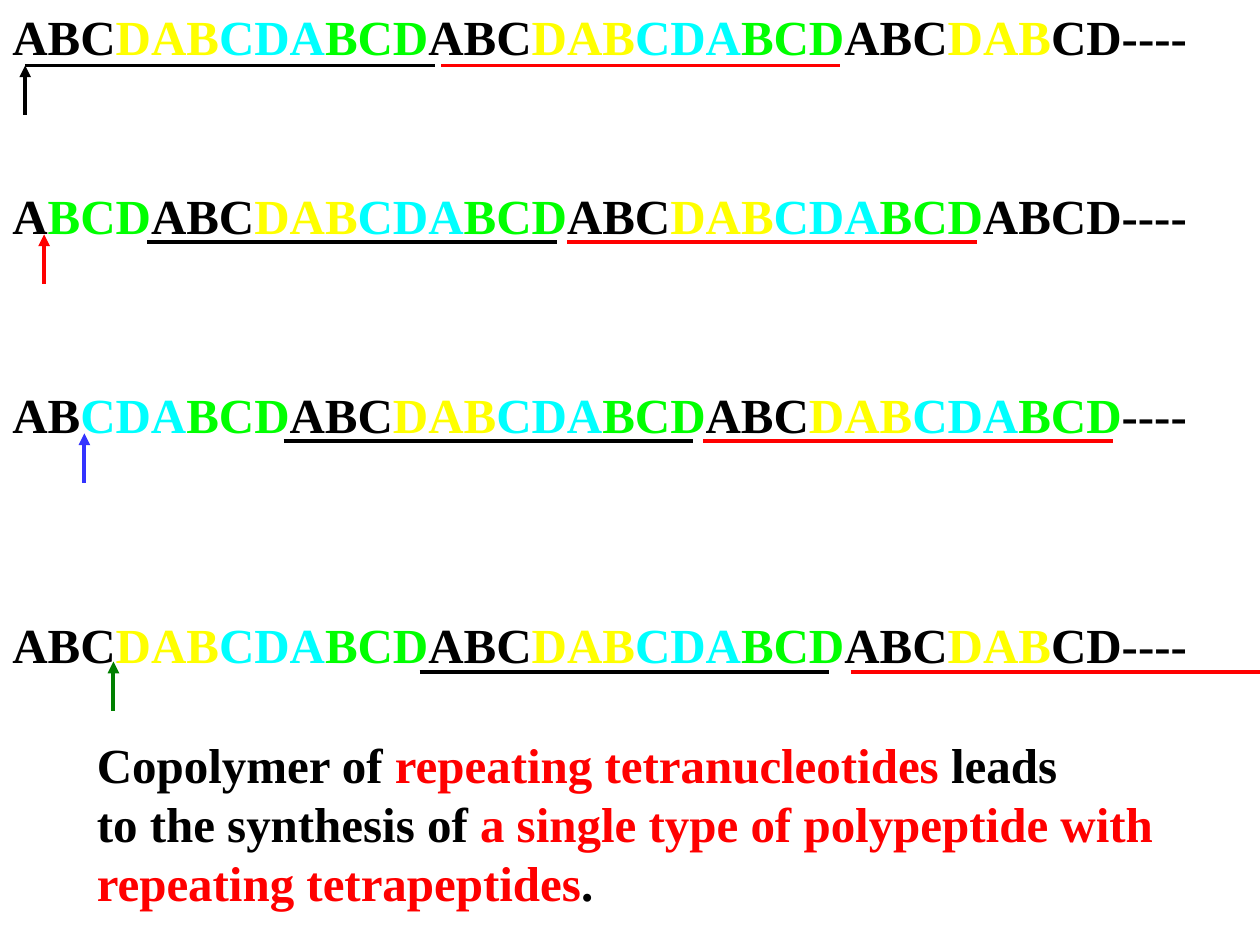
import pptx
import pptx.dml.color
import pptx.enum.shapes
import pptx.enum.text
import pptx.oxml
import pptx.oxml.ns
import pptx.util
from collections import namedtuple

RGBColor = pptx.dml.color.RGBColor
BLACK = RGBColor(0, 0, 0)
RED = RGBColor(255, 0, 0)
BLUE = RGBColor(0x33, 0x33, 0xFF)
DARK_GREEN = RGBColor(0, 0x80, 0)
CODON_COLORS = {
    "ABC": BLACK,
    "DAB": RGBColor(255, 255, 0),
    "CDA": RGBColor(0, 255, 255),
    "BCD": RGBColor(0, 255, 0),
}
SEQUENCE = "ABCD" * 8
WIDTH = pptx.util.Inches(10)
HEIGHT = pptx.util.Inches(7.5)
ROW_WIDTH, ROW_HEIGHT = 9.54, 0.57
ARROW_LENGTH = 0.39

Box = namedtuple("Box", "left top width height")
Frame = namedtuple("Frame", "top codons rule_drop rules arrow_x arrow_drop arrow_color")

FRAMES = [
    Frame(0, 10, 0.52, [(0.2, 3.45), (3.5, 6.67)], 0.2, 0.52, BLACK),
    Frame(1.42, 9, 0.5, [(1.17, 4.42), (4.5, 7.75)], 0.35, 0.44, RED),
    Frame(3, 10, 0.5, [(2.25, 5.5), (5.58, 8.83)], 0.67, 0.44, BLUE),
    Frame(4.83, 9, 0.5, [(3.33, 6.58), (6.75, 10)], 0.9, 0.42, DARK_GREEN),
]
CONCLUSION = [
    [("Copolymer of ", BLACK), ("repeating tetranucleotides", RED), (" leads", BLACK)],
    [("to the synthesis of ", BLACK), ("a single type of polypeptide with", RED)],
    [("repeating tetrapeptides", RED), (".", BLACK)],
]


def across(inches):
    """Return a horizontal length as a share of the slide width."""
    return round(WIDTH * inches / 10)


def down(inches):
    """Return a vertical length as a share of the slide height."""
    return round(HEIGHT * inches / 7.5)


def add_text(page, box, lines):
    """Write lines of coloured spans in an unwrapped text box."""
    shape = page.shapes.add_textbox(
        across(box.left), down(box.top), across(box.width), down(box.height))
    frame = shape.text_frame
    frame.word_wrap = False
    frame.auto_size = pptx.enum.text.MSO_AUTO_SIZE.SHAPE_TO_FIT_TEXT
    for index, spans in enumerate(lines):
        para = frame.paragraphs[0] if index == 0 else frame.add_paragraph()
        para.font.name = "Times New Roman"
        para.font.size = pptx.util.Pt(28)
        para.font.bold = True
        for text, color in spans:
            span = para.add_run()
            span.text = text
            span.font.color.rgb = color


def add_line(page, start, end, color, arrow=False):
    """Draw a straight line, with an arrowhead at its end on request."""
    line = page.shapes.add_connector(
        pptx.enum.shapes.MSO_CONNECTOR.STRAIGHT,
        across(start[0]), down(start[1]), across(end[0]), down(end[1]))
    line.line.color.rgb = color
    line.line.width = pptx.util.Pt(2.25)
    if arrow:
        head = pptx.oxml.parse_xml(
            f'<a:tailEnd {pptx.oxml.ns.nsdecls("a")} type="triangle"/>')
        line.line._get_or_add_ln().append(head)
    line._element.spPr.append(
        pptx.oxml.parse_xml(f'<a:effectLst {pptx.oxml.ns.nsdecls("a")}/>'))


def codon_spans(offset, count):
    """Split the sequence into codons from an offset, and colour each one."""
    end = offset + 3 * count
    codons = [SEQUENCE[start:start + 3] for start in range(offset, end, 3)]
    spans = [(SEQUENCE[:offset], BLACK)] if offset else []
    spans += [(codon, CODON_COLORS[codon]) for codon in codons]
    return spans + [(SEQUENCE[end:] + "----", BLACK)]


def add_reading_frame(page, box, offset, frame):
    """Place a sequence with its repeat underlines and start arrow."""
    add_text(page, box, [codon_spans(offset, frame.codons)])
    rule_y = box.top + frame.rule_drop
    for (start, end), color in zip(frame.rules, (BLACK, RED)):
        add_line(page, (box.left + start, rule_y), (box.left + end, rule_y), color)
    arrow_x = box.left + frame.arrow_x
    tip = box.top + frame.arrow_drop
    add_line(page, (arrow_x, tip + ARROW_LENGTH), (arrow_x, tip),
             frame.arrow_color, arrow=True)


def main():
    """Build the slide and save it."""
    deck = pptx.Presentation()
    deck.slide_width, deck.slide_height = WIDTH, HEIGHT
    page = deck.slides.add_slide(deck.slide_layouts[6])
    for offset, frame in enumerate(FRAMES):
        add_reading_frame(page, Box(0, frame.top, ROW_WIDTH, ROW_HEIGHT), offset, frame)
    add_text(page, Box(0.67, 5.78, 8.7, 1.5), CONCLUSION)
    deck.save("out.pptx")


if __name__ == "__main__":
    main()
